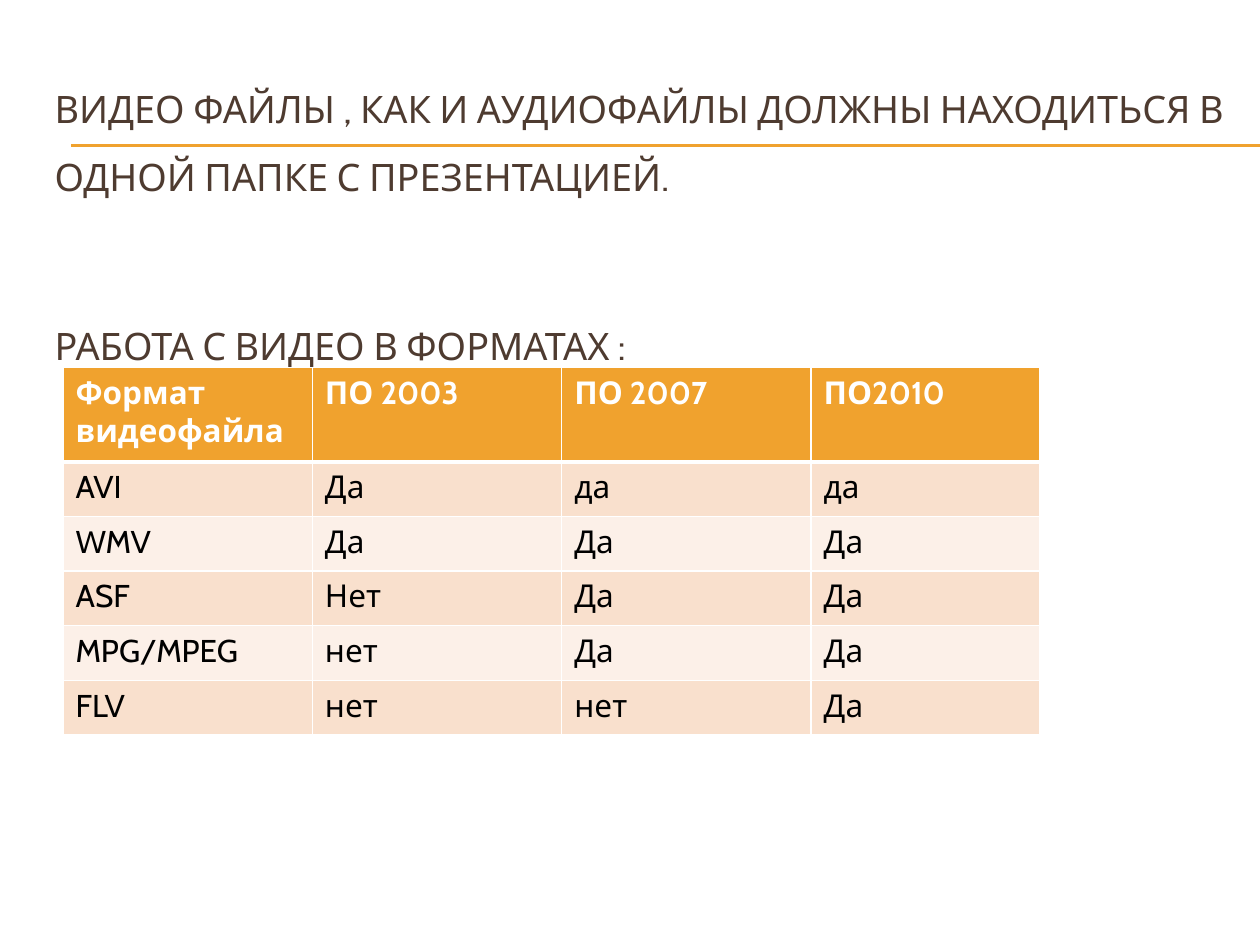
from dataclasses import dataclass

from lxml.etree import SubElement
from pptx import Presentation
from pptx.dml.color import RGBColor as Rgb
from pptx.enum.shapes import MSO_CONNECTOR as Connector
from pptx.enum.text import MSO_ANCHOR as Anchor, MSO_AUTO_SIZE as AutoSize, PP_ALIGN as Align
from pptx.oxml.ns import qn
from pptx.util import Pt


@dataclass(frozen=True)
class Theme:
    font: str = "Cabin"
    title_size: float = 21.6
    table_size: float = 18
    title: str = "4E3B30"
    accent: str = "F0A22E"
    white: str = "FFFFFF"
    black: str = "000000"
    bands: tuple = ("F9E0CD", "FCF0E8")


THEME = Theme()
TITLE_PARTS = (
    "ВИДЕО ФАЙЛЫ , КАК И АУДИОФАЙЛЫ ДОЛЖНЫ НАХОДИТЬСЯ В ОДНОЙ ПАПКЕ С ПРЕЗЕНТАЦИЕЙ.",
    "РАБОТА С ВИДЕО В ФОРМАТАХ :",
)
FORMAT_SUPPORT = (
    ("Формат видеофайла", "ПО 2003", "ПО 2007", "ПО2010"),
    ("AVI", "Да", "да", "да"),
    ("WMV", "Да", "Да", "Да"),
    ("ASF", "Нет", "Да", "Да"),
    ("MPG/MPEG", "нет", "Да", "Да"),
    ("FLV", "нет", "нет", "Да"),
)
COLUMN_WIDTHS = (142.5, 142.5, 142.5, 130.5)
HEADER_HEIGHT, ROW_HEIGHT = 54, 31.2


def add_run(paragraph, text, size, color, bold=False):
    run = paragraph.add_run()
    run.text = text
    run.font.name = THEME.font
    run.font.size = Pt(size)
    run.font.bold = bold
    run.font.color.rgb = Rgb.from_string(color)


def add_rule(slide, y):
    rule = slide.shapes.add_connector(Connector.STRAIGHT, Pt(40.5), Pt(y), Pt(720), Pt(y))
    rule.line.color.rgb = Rgb.from_string(THEME.accent)
    rule.line.width = Pt(0.75)
    SubElement(rule.element.spPr, qn("a:effectLst"))


def fill_title(slide):
    title = slide.shapes.title
    title.left, title.top, title.width, title.height = Pt(24), Pt(36), Pt(684), Pt(204)
    frame = title.text_frame
    frame.word_wrap = True
    frame.auto_size = AutoSize.NONE
    frame.vertical_anchor = Anchor.TOP
    frame.margin_top = 0
    for index, part in enumerate(TITLE_PARTS):
        paragraph = frame.add_paragraph() if index else frame.paragraphs[0]
        paragraph.alignment = Align.LEFT
        paragraph.line_spacing = 1.5
        paragraph.space_before = Pt(58 if index else 0)
        add_run(paragraph, part, THEME.title_size, THEME.title)
    # The title stands in front of the rules.
    slide.shapes.element.append(title.element)


def set_borders(cell, bottom_width, top_width):
    properties = cell._tc.get_or_add_tcPr()
    widths = {"a:lnL": 1, "a:lnR": 1, "a:lnT": top_width, "a:lnB": bottom_width}
    for position, (side, width) in enumerate(widths.items()):
        border = SubElement(properties, qn(side), w=str(Pt(width)))
        fill = SubElement(border, qn("a:solidFill"))
        SubElement(fill, qn("a:srgbClr"), val=THEME.white)
        properties.insert(position, border)


def add_format_table(slide):
    row_count = len(FORMAT_SUPPORT)
    table = slide.shapes.add_table(
        row_count, len(COLUMN_WIDTHS), Pt(36), Pt(210),
        Pt(sum(COLUMN_WIDTHS)), Pt(HEADER_HEIGHT + ROW_HEIGHT * (row_count - 1)),
    ).table
    for column, width in zip(table.columns, COLUMN_WIDTHS):
        column.width = Pt(width)
    for index, (row, texts) in enumerate(zip(table.rows, FORMAT_SUPPORT)):
        header = index == 0
        row.height = Pt(HEADER_HEIGHT if header else ROW_HEIGHT)
        background = THEME.accent if header else THEME.bands[(index - 1) % 2]
        color = THEME.white if header else THEME.black
        for cell, text in zip(row.cells, texts):
            cell.fill.solid()
            cell.fill.fore_color.rgb = Rgb.from_string(background)
            set_borders(cell, 3 if header else 1, 3 if index == 1 else 1)
            add_run(cell.text_frame.paragraphs[0], text, THEME.table_size, color, header)


def main():
    presentation = Presentation()
    presentation.slide_width, presentation.slide_height = Pt(720), Pt(540)
    slide = presentation.slides.add_slide(presentation.slide_layouts[5])
    for y in (82.8, 83.5):
        add_rule(slide, y)
    fill_title(slide)
    add_format_table(slide)
    presentation.save("out.pptx")


if __name__ == "__main__":
    main()
